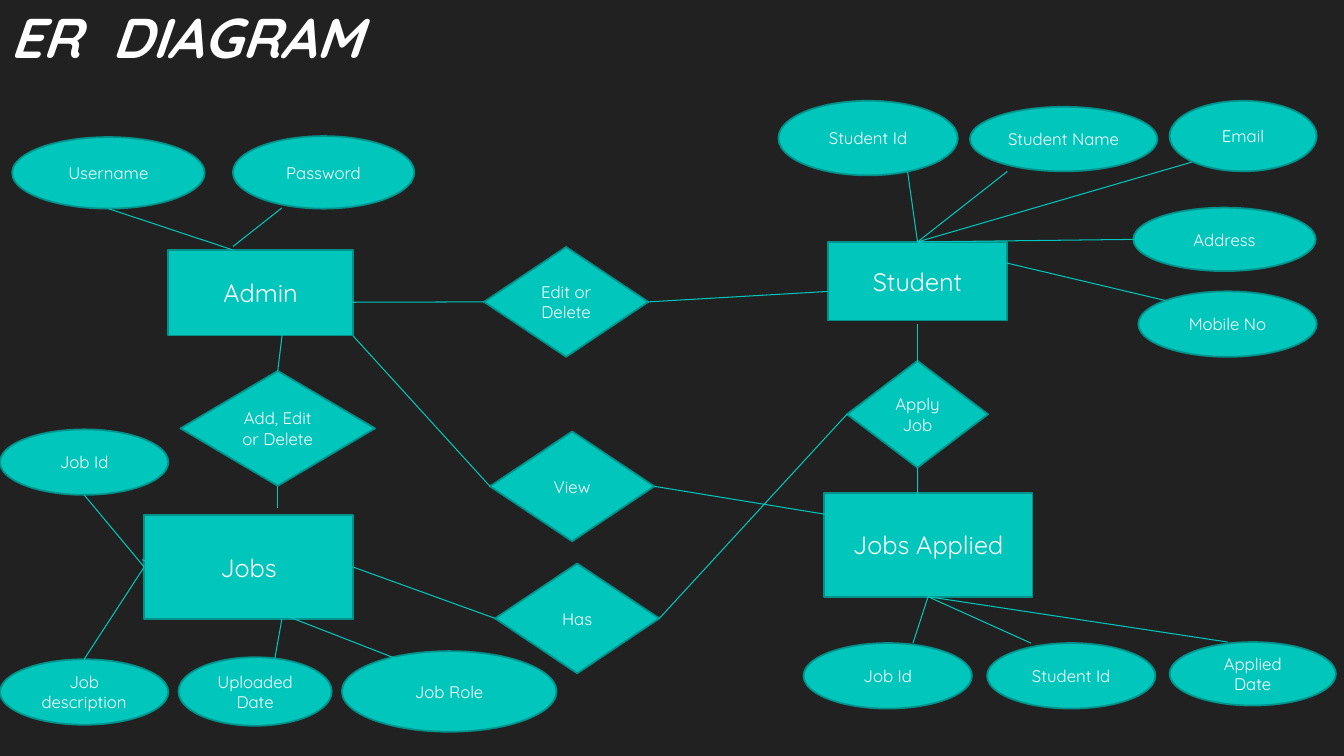
from lxml.etree import SubElement
from pptx import Presentation
from pptx.dml.color import RGBColor
from pptx.enum.shapes import MSO_CONNECTOR, MSO_SHAPE
from pptx.enum.text import MSO_ANCHOR, PP_ALIGN
from pptx.oxml.ns import qn
from pptx.util import Inches, Pt

# Grid: one column and one row are each an inch
CELL = Inches(1)
COLS, ROWS = 13.33, 7.5

DARK = RGBColor(0x21, 0x21, 0x21)
TEAL = RGBColor(0x00, 0xC6, 0xBB)
EDGE = RGBColor(0x00, 0x92, 0x8A)
WHITE = RGBColor(0xFF, 0xFF, 0xFF)
PALE = RGBColor(0xFE, 0xFE, 0xFE)
FONT = "Quicksand"

# Each kind of node: preset shape, text size
ENTITY = (MSO_SHAPE.RECTANGLE, 18)
FIELD = (MSO_SHAPE.OVAL, 12)
ACTION = (MSO_SHAPE.FLOWCHART_DECISION, 12)

# Key: kind, text, column, row, width, height
NODES = {
    "admin": (ENTITY, "Admin", 1.67, 2.48, 1.83, 0.85),
    "student": (ENTITY, "Student", 8.21, 2.4, 1.78, 0.78),
    "jobs": (ENTITY, "Jobs", 1.43, 5.11, 2.07, 1.03),
    "applied": (ENTITY, "Jobs Applied", 8.17, 4.89, 2.07, 1.03),
    "user": (FIELD, "Username", 0.12, 1.36, 1.91, 0.71),
    "pass": (FIELD, "Password", 2.31, 1.35, 1.8, 0.72),
    "id": (FIELD, "Student Id", 7.72, 1, 1.78, 0.74),
    "name": (FIELD, "Student Name", 9.62, 1.06, 1.86, 0.64),
    "email": (FIELD, "Email", 11.6, 1, 1.46, 0.7),
    "address": (FIELD, "Address", 11.24, 2.06, 1.81, 0.63),
    "mobile": (FIELD, "Mobile No", 11.29, 2.89, 1.77, 0.65),
    "job": (FIELD, "Job Id", 0, 4.26, 1.67, 0.65),
    "about": (FIELD, "Job description", 0, 6.54, 1.67, 0.65),
    "upload": (FIELD, "Uploaded Date", 1.77, 6.52, 1.52, 0.68),
    "role": (FIELD, "Job Role", 3.39, 6.46, 2.13, 0.8),
    "job ref": (FIELD, "Job Id", 7.97, 6.38, 1.67, 0.65),
    "id ref": (FIELD, "Student Id", 9.79, 6.38, 1.67, 0.65),
    "date": (FIELD, "Applied Date", 11.6, 6.37, 1.65, 0.63),
    "manage": (ACTION, "Add, Edit or Delete", 1.79, 3.68, 1.93, 1.14),
    "apply": (ACTION, "Apply Job", 8.4, 3.58, 1.4, 1.06),
    "edit": (ACTION, "Edit or Delete", 4.8, 2.45, 1.63, 1.09),
    "view": (ACTION, "View", 4.86, 4.28, 1.63, 1.09),
    "has": (ACTION, "Has", 4.91, 5.59, 1.63, 1.09),
}

# Points on a node, as shares of its width and height
TOP, LEFT, BASE, RIGHT = (0.5, 0), (0, 0.5), (0.5, 1), (1, 0.5)

# Start node, point, end node, point
LINKS = [
    ("jobs", LEFT, "job", BASE),
    ("jobs", LEFT, "about", TOP),
    ("jobs", (0.66, 1), "upload", (0.62, 0.13)),
    ("jobs", (-0.01, 0.43), "role", (0.26, 0.1)),
    ("user", BASE, "admin", (0.35, 0)),
    ("admin", (0.35, -0.04), "pass", (0.27, 0.99)),
    ("edit", LEFT, "admin", (1, 0.61)),
    ("edit", RIGHT, "student", (0, 0.63)),
    ("student", TOP, "id", (0.72, 0.95)),
    ("student", TOP, "name", (0.2, 1)),
    ("student", TOP, "email", (0.15, 0.87)),
    ("student", TOP, "address", LEFT),
    ("student", TOP, "mobile", (0.15, 0.14)),
    ("student", (0.5, 1.04), "apply", (0.5, 0.16)),
    ("apply", BASE, "applied", (0.45, 0.07)),
    ("applied", BASE, "job ref", (0.65, 0)),
    ("applied", BASE, "id ref", (0.26, 0)),
    ("applied", BASE, "date", (0.35, 0)),
    ("admin", (1, 1), "view", LEFT),
    ("view", RIGHT, "applied", (0.02, 0.21)),
    ("has", LEFT, "jobs", RIGHT),
    ("apply", LEFT, "has", RIGHT),
    ("admin", (0.62, 0.93), "manage", TOP),
    ("manage", BASE, "jobs", (0.64, -0.07)),
]


def grid(*cells):
    return [int(cell * CELL) for cell in cells]


def write(frame, text, size, color=WHITE, align=PP_ALIGN.CENTER,
          anchor=MSO_ANCHOR.MIDDLE, bold=False, italic=False):
    frame.word_wrap = True
    frame.vertical_anchor = anchor
    para = frame.paragraphs[0]
    para.alignment = align
    run = para.add_run()
    run.text = text
    font = run.font
    font.name, font.size = FONT, Pt(size)
    font.bold, font.italic = bold, italic
    font.color.rgb = color


def add_node(slide, kind, text, *box):
    form, size = kind
    node = slide.shapes.add_shape(form, *grid(*box))
    node.shadow.inherit = False
    node.fill.solid()
    node.fill.fore_color.rgb = TEAL
    node.line.color.rgb = EDGE
    node.line.width = Pt(1.25)
    write(node.text_frame, text, size)


def spot(key, point):
    left, top, width, height = NODES[key][2:]
    return grid(left + point[0] * width, top + point[1] * height)


def add_link(slide, start, tail, end, head):
    link = slide.shapes.add_connector(
        MSO_CONNECTOR.STRAIGHT, *spot(start, tail), *spot(end, head))
    link.line.color.rgb = TEAL
    link.line.width = Pt(0.75)
    SubElement(link._element.spPr, qn("a:effectLst"))


def main():
    deck = Presentation()
    deck.slide_width, deck.slide_height = grid(COLS, ROWS)
    slide = deck.slides.add_slide(deck.slide_layouts[6])
    slide.background.fill.solid()
    slide.background.fill.fore_color.rgb = DARK

    # Entities, fields and actions
    for node in NODES.values():
        add_node(slide, *node)

    # Title
    title = slide.shapes.add_textbox(*grid(0, -0.02, 3.97, 0.85))
    write(title.text_frame, "ER  DIAGRAM", 40, color=PALE, bold=True,
          italic=True, align=PP_ALIGN.LEFT, anchor=MSO_ANCHOR.TOP)

    # Links between nodes
    for link in LINKS:
        add_link(slide, *link)

    deck.save("out.pptx")


if __name__ == "__main__":
    main()
